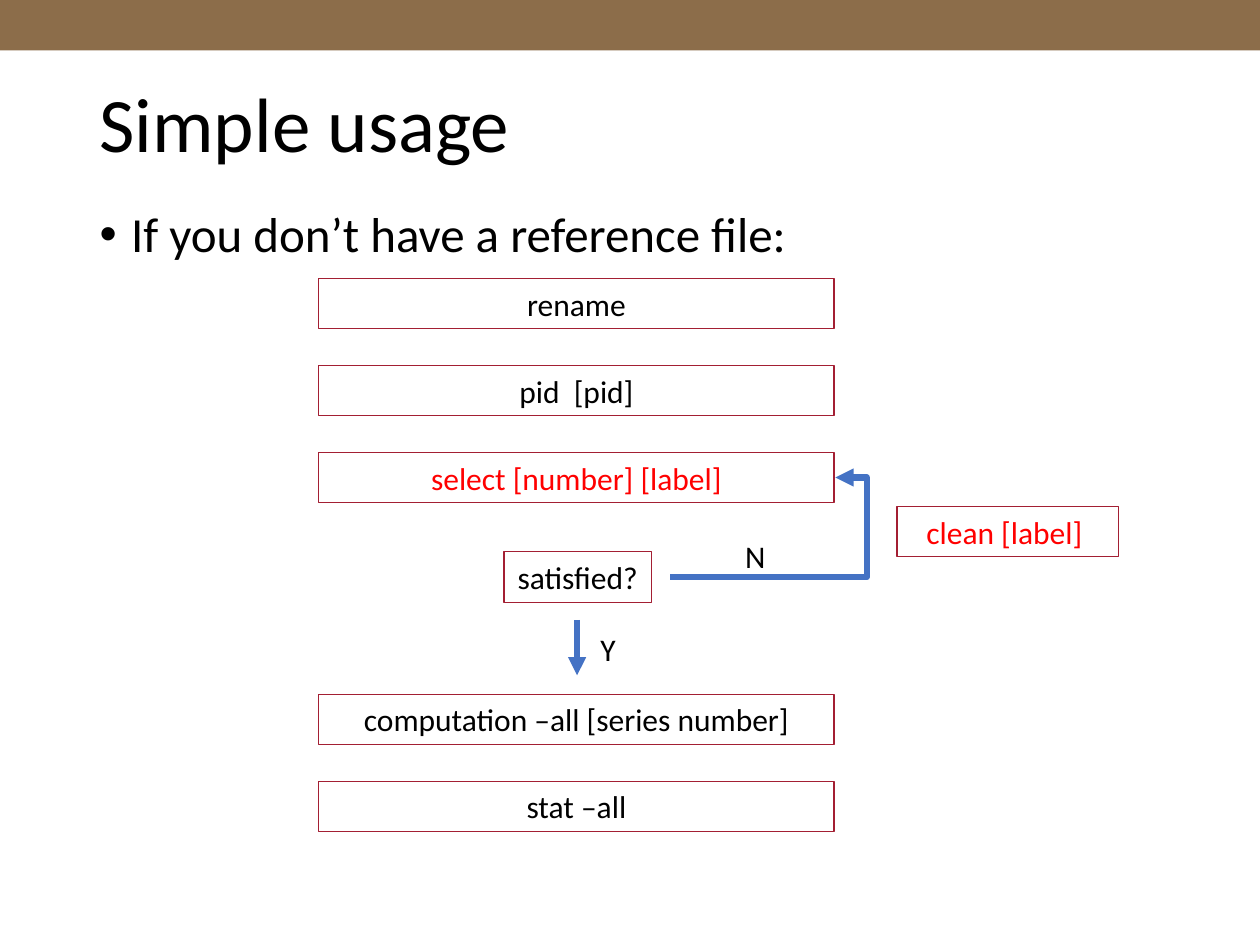
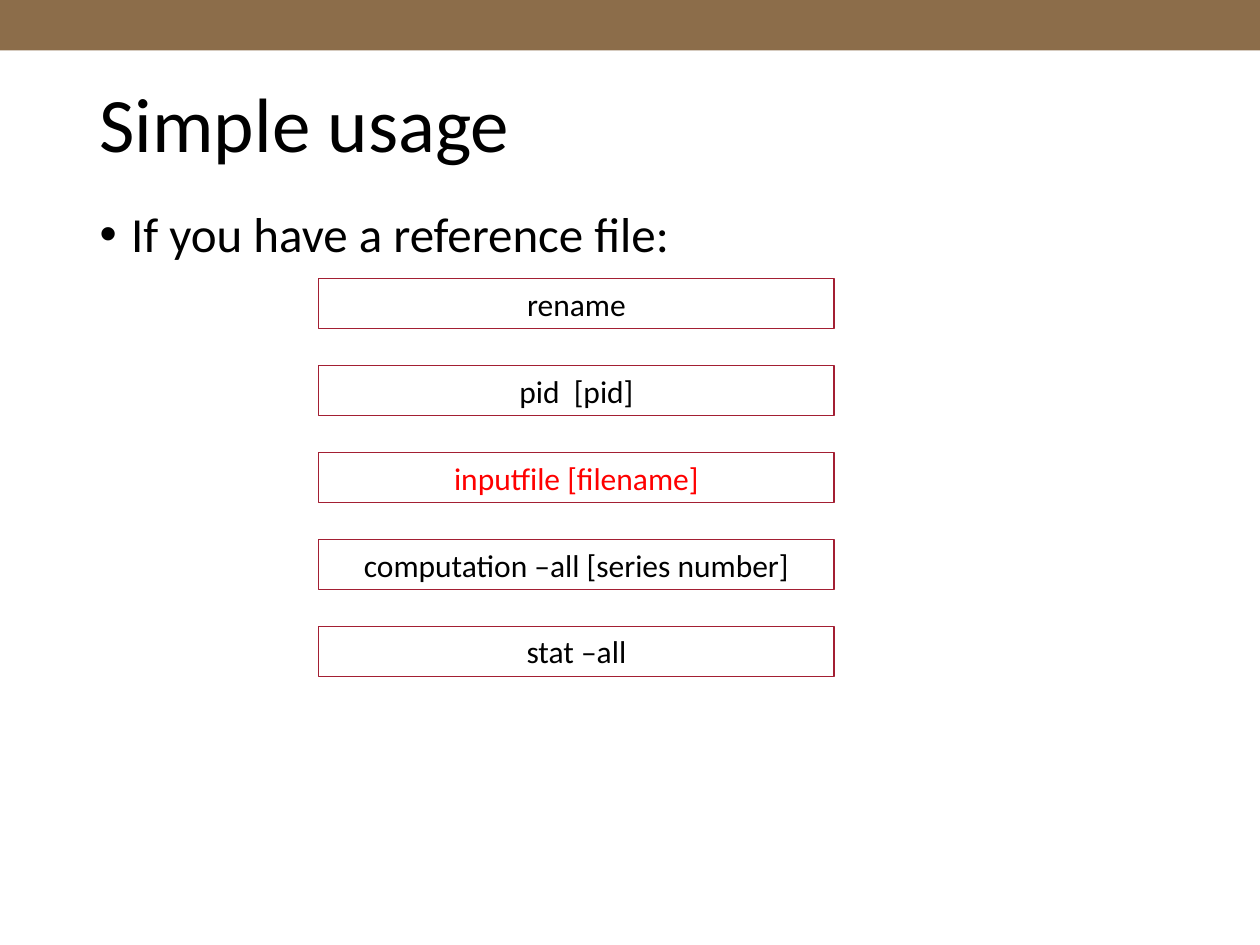
from dataclasses import dataclass

from lxml import etree
from pptx import Presentation
from pptx.dml.color import RGBColor
from pptx.enum import shapes, text
from pptx.oxml.ns import qn
from pptx.util import Inches, Pt

# Shared look
BAND_BROWN = RGBColor(0x8C, 0x6D, 0x4A)
BOX_RED = RGBColor(0xA3, 0x1F, 0x33)
ARROW_BLUE = RGBColor(0x44, 0x72, 0xC4)
BLACK = RGBColor(0, 0, 0)
HIGHLIGHT = RGBColor(0xFF, 0, 0)
FONT = "Calibri"

# Flow geometry, in inches
STEP_LEFT, STEP_WIDTH, STEP_HEIGHT = 2.53, 4.09, 0.4
FIRST_STEP_TOP, STEP_PITCH = 2.21, 0.69
LOWER_STEP_TOP = 5.51  # where the flow resumes after the decision


@dataclass(frozen=True)
class Box:
    label: str
    left: float
    top: float
    width: float
    color: RGBColor = BLACK


@dataclass(frozen=True)
class Arrow:
    start: tuple[float, float]
    end: tuple[float, float]
    bend: float | None = None  # elbow position as a share of the width


def step(label: str, row: int, color: RGBColor = BLACK,
         first_top: float = FIRST_STEP_TOP) -> Box:
    """A full-width step in the given row of the flow."""
    return Box(label, STEP_LEFT, first_top + row * STEP_PITCH, STEP_WIDTH, color)


def style_paragraph(paragraph, size: int, color: RGBColor, align) -> None:
    paragraph.alignment = align
    paragraph.font.name = FONT
    paragraph.font.size = Pt(size)
    paragraph.font.color.rgb = color


def fill_placeholder(holder, wording: str, size: int, top: float, height: float):
    holder.left, holder.top = Inches(0.69), Inches(top)
    holder.width, holder.height = Inches(8.62), Inches(height)
    holder.text_frame.text = wording
    holder.text_frame.auto_size = text.MSO_AUTO_SIZE.NONE
    paragraph = holder.text_frame.paragraphs[0]
    style_paragraph(paragraph, size, BLACK, text.PP_ALIGN.LEFT)
    paragraph.line_spacing = 0.9
    return paragraph


def add_usage_slide(prs, case: str):
    """A slide with the common title and one bullet naming the case."""
    slide = prs.slides.add_slide(prs.slide_layouts[1])
    fill_placeholder(slide.shapes.title, "Simple usage", 44, 0.6, 0.83)
    bullet = fill_placeholder(slide.placeholders[1], case, 28, 1.62, 5.13)
    bullet.space_before = Pt(10)
    properties = bullet._p.get_or_add_pPr()
    properties.set("marL", str(Inches(0.25)))
    properties.set("indent", str(-Inches(0.25)))
    return slide


def add_master_band(prs, slide) -> None:
    """Draw the top band and move it to the master, behind everything."""
    band = slide.shapes.add_shape(shapes.MSO_SHAPE.RECTANGLE, 0, 0,
                                  prs.slide_width, Inches(0.4))
    band.fill.solid()
    band.fill.fore_color.rgb = BAND_BROWN
    band.line.fill.background()
    band.shadow.inherit = False
    prs.slide_master.shapes.element.insert(2, band.element)


def write_label(shape, box: Box) -> None:
    frame = shape.text_frame
    frame.text = box.label
    frame.word_wrap = True
    frame.auto_size = text.MSO_AUTO_SIZE.SHAPE_TO_FIT_TEXT
    style_paragraph(frame.paragraphs[0], 18, box.color, text.PP_ALIGN.CENTER)


def add_box(slide, box: Box) -> None:
    outline = slide.shapes.add_shape(
        shapes.MSO_SHAPE.RECTANGLE, Inches(box.left), Inches(box.top),
        Inches(box.width), Inches(STEP_HEIGHT))
    outline.fill.background()
    outline.line.color.rgb = BOX_RED
    outline.line.width = Pt(0.75)
    outline.shadow.inherit = False
    write_label(outline, box)


def add_answer(slide, box: Box) -> None:
    answer = slide.shapes.add_textbox(
        Inches(box.left), Inches(box.top), Inches(box.width), Inches(STEP_HEIGHT))
    write_label(answer, box)


def add_arrow(slide, arrow: Arrow) -> None:
    kind = (shapes.MSO_CONNECTOR.STRAIGHT if arrow.bend is None
            else shapes.MSO_CONNECTOR.ELBOW)
    points = [Inches(value) for value in (*arrow.start, *arrow.end)]
    connector = slide.shapes.add_connector(kind, *points)
    connector.line.color.rgb = ARROW_BLUE
    connector.line.width = Pt(3.5)
    line = connector.line._get_or_add_ln()
    etree.SubElement(line, qn("a:tailEnd"), type="triangle")
    properties = connector.element.spPr
    etree.SubElement(properties, qn("a:effectLst"))
    if arrow.bend is not None:
        adjustments = properties.find(qn("a:prstGeom")).find(qn("a:avLst"))
        etree.SubElement(adjustments, qn("a:gd"), name="adj1",
                         fmla=f"val {round(arrow.bend * 100000)}")


# Content
NO_REFERENCE_BOXES = [
    step("rename", 0),
    step("pid  [pid]", 1),
    step("select [number] [label]", 2, HIGHLIGHT),
    Box("satisfied?", 4, 4.38, 1.17),
    step("computation –all [series number]", 0, first_top=LOWER_STEP_TOP),
    step("stat –all", 1, first_top=LOWER_STEP_TOP),
    Box("clean [label] ", 7.12, 4.02, 1.76, HIGHLIGHT),
]
DECISION_ARROWS = [
    Arrow((4.58, 4.92), (4.58, 5.36)),
    Arrow((5.32, 4.58), (6.63, 3.79), bend=1.19),
]
DECISION_ANSWERS = [Box("Y", 4.5, 4.95, 0.65), Box("N", 5.67, 4.21, 0.65)]
REFERENCE_BOXES = [
    step("rename", 0),
    step("pid  [pid]", 1),
    step("inputfile [filename]", 2, HIGHLIGHT),
    step("computation –all [series number]", 3),
    step("stat –all", 4),
]


def main() -> None:
    prs = Presentation()
    prs.slide_width, prs.slide_height = Inches(10), Inches(7.5)

    # Without a reference file: select until satisfied
    no_reference = add_usage_slide(prs, "If you don’t have a reference file:")
    add_master_band(prs, no_reference)
    for box in NO_REFERENCE_BOXES:
        add_box(no_reference, box)
    for arrow in DECISION_ARROWS:
        add_arrow(no_reference, arrow)
    for answer in DECISION_ANSWERS:
        add_answer(no_reference, answer)

    # With a reference file: a straight run of steps
    reference = add_usage_slide(prs, "If you have a reference file:")
    for box in REFERENCE_BOXES:
        add_box(reference, box)

    prs.save("out.pptx")


main()
